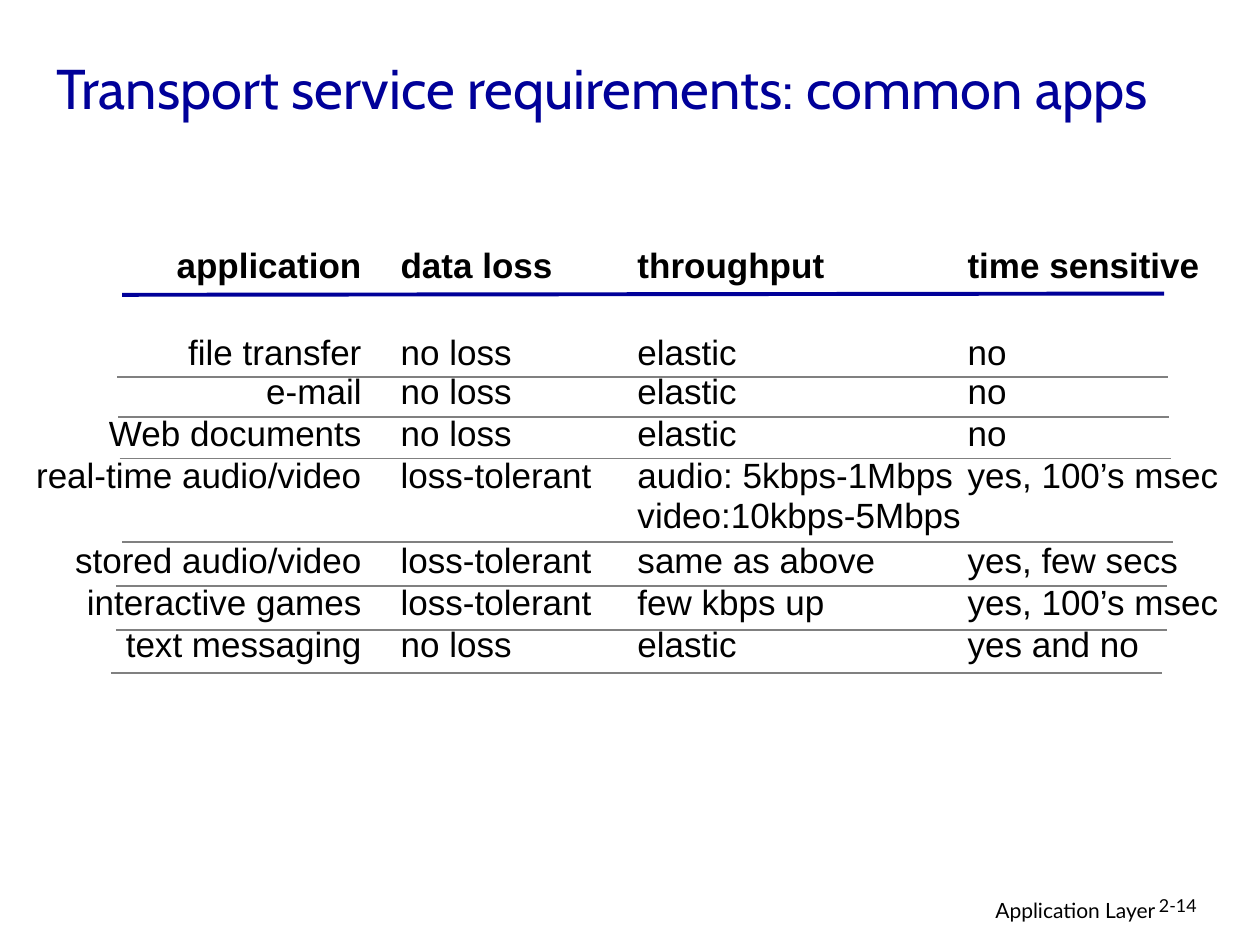
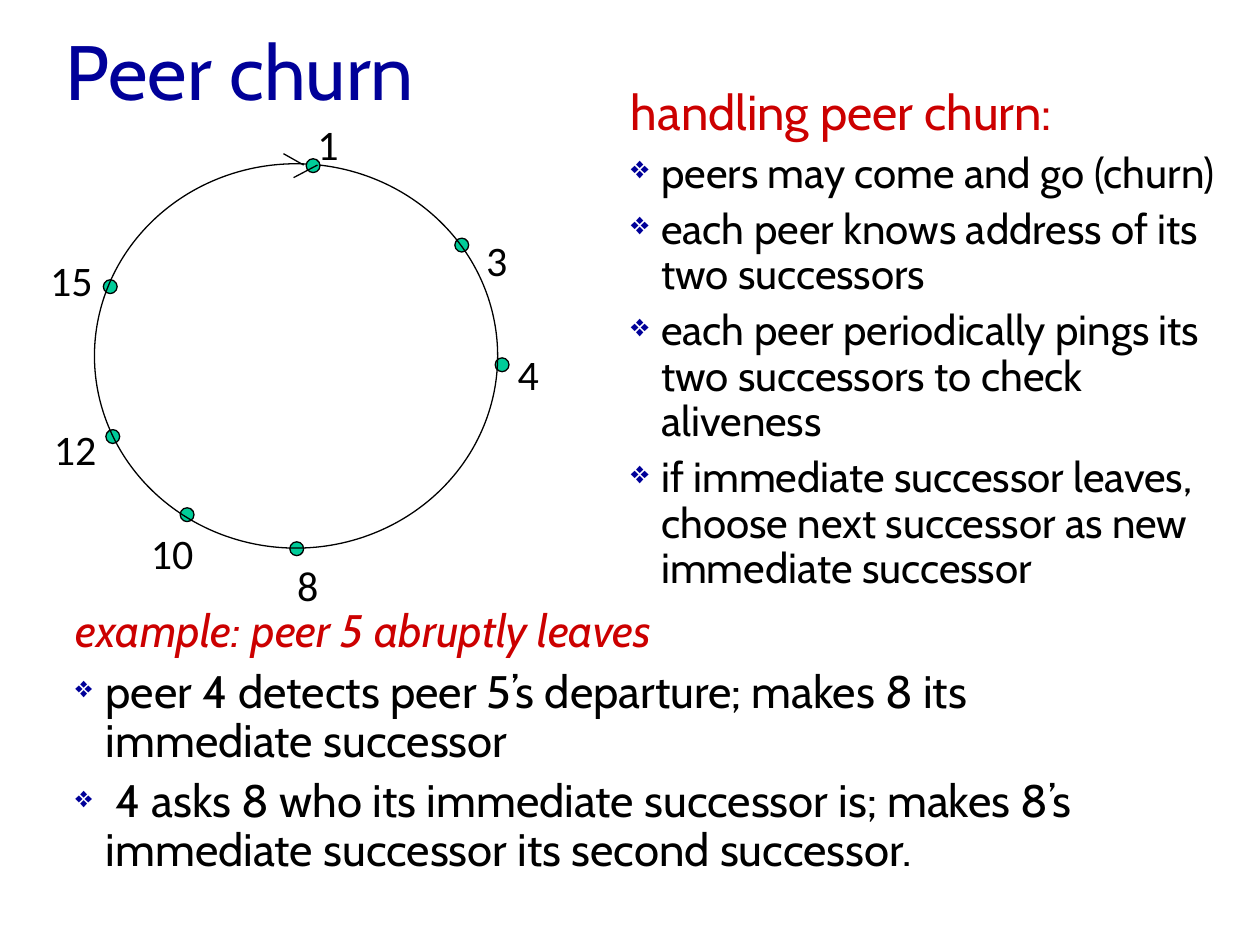
from dataclasses import dataclass

from lxml.etree import SubElement
from pptx import Presentation
from pptx.dml.color import RGBColor
from pptx.enum.shapes import MSO_CONNECTOR, MSO_SHAPE
from pptx.enum.text import MSO_ANCHOR, PP_ALIGN
from pptx.oxml.ns import qn
from pptx.util import Emu, Inches, Pt


@dataclass(frozen=True)
class Theme:
    navy: str = "000099"
    red: str = "CC0000"
    green: str = "00CC99"
    gray: str = "808080"
    black: str = "000000"
    heading_font: str = "Cabin"
    table_font: str = "Arial"
    label_font: str = "Calibri"
    footer_font: str = "Lato"
    long_title: float = 32
    short_title: float = 44
    heading: float = 28
    example: float = 26
    body: float = 24
    cell: float = 20
    footer: float = 12
    page: float = 10.2
    thin: float = 0.75
    row_rule: float = 1
    header_rule: float = 2.25


THEME = Theme()
COLUMNS, ROWS = 100, 75
WIDTH, HEIGHT = Inches(10), Inches(7.5)
HANG = 2.4

TABLE_TOP, LINE_HEIGHT = 19.6, 3.34
COLUMN_EDGES = [1.9, 31.6, 50.4, 76.6, 98.5]
REQUIREMENTS = [
    (1, "application", "data loss", "throughput", "time sensitive"),
    (2, "file transfer", "no loss", "elastic", "no"),
    (1, "e-mail", "no loss", "elastic", "no"),
    (1, "Web documents", "no loss", "elastic", "no"),
    (2, "real-time audio/video", "loss-tolerant",
     "audio: 5kbps-1Mbps\nvideo:10kbps-5Mbps", "yes, 100’s msec"),
    (1, "stored audio/video", "loss-tolerant", "same as above", "yes, few secs"),
    (1, "interactive games", "loss-tolerant", "few kbps up", "yes, 100’s msec"),
    (1, "text messaging", "no loss", "elastic", "yes and no"),
]
RULE_LENGTH = 83.4
ROW_RULES = [(9.3, 29.9), (9.4, 33.1), (9.5, 36.4), (9.7, 43),
             (9.2, 46.5), (9.2, 50), (8.8, 53.4)]

FIRST_PEER = ("1", (24.3, 12.6), (24.2, 8.9))
OTHER_PEERS = [
    ("3", (36.1, 18.9), (37.6, 18.1)),
    ("4", (39.3, 28.4), (40.1, 27.2)),
    ("8", (23, 43), (22.6, 43.9)),
    ("10", (14.3, 40.3), (11, 41.4)),
    ("12", (8.4, 34.1), (3.3, 33.1)),
    ("15", (8.2, 22.2), (3, 19.7)),
]
HANDLING = [
    "peers may come and go (churn)",
    "each peer knows address of its two successors",
    "each peer periodically pings its two successors to check aliveness",
    "if immediate successor leaves, choose next successor as new immediate successor",
]
EXAMPLE = [
    "peer 4 detects peer 5’s departure; makes 8 its immediate successor",
    " 4 asks 8 who its immediate successor is; makes 8’s immediate successor its second successor.",
]


def across(columns):
    return Emu(round(WIDTH * columns / COLUMNS))


def down(rows):
    return Emu(round(HEIGHT * rows / ROWS))


def place(left, top, width, height):
    return across(left), down(top), across(width), down(height)


def set_font(paragraph, face, size, color=THEME.black, bold=False, italic=False):
    font = paragraph.font
    font.name, font.size, font.bold, font.italic = face, Pt(size), bold, italic
    font.color.rgb = RGBColor.from_string(color)


def add_text(slide, box, text, face, size, color=THEME.black, italic=False,
             align=PP_ALIGN.LEFT, anchor=MSO_ANCHOR.TOP, wrap=True, spacing=None):
    frame = slide.shapes.add_textbox(*place(*box)).text_frame
    frame.word_wrap = wrap
    frame.vertical_anchor = anchor
    paragraph = frame.paragraphs[0]
    paragraph.text = text
    paragraph.alignment = align
    paragraph.line_spacing = spacing
    set_font(paragraph, face, size, color, italic=italic)
    return frame


def add_title(slide, box, text, size):
    add_text(slide, box, text, THEME.heading_font, size, THEME.navy,
             anchor=MSO_ANCHOR.MIDDLE)


def add_bullets(frame, items, size, spacing, before, bullet_percent):
    for item in items:
        paragraph = frame.add_paragraph()
        paragraph.text = item
        properties = paragraph._p.get_or_add_pPr()
        properties.set("marL", str(across(HANG)))
        properties.set("indent", str(-across(HANG)))
        bullet_color = SubElement(properties, qn("a:buClr"))
        SubElement(bullet_color, qn("a:srgbClr"), val=THEME.navy)
        SubElement(properties, qn("a:buSzPct"), val=str(bullet_percent * 1000))
        SubElement(properties, qn("a:buChar"), char="❖")
        paragraph.line_spacing = spacing
        paragraph.space_before = Pt(before)
        set_font(paragraph, THEME.heading_font, size)


def add_line(slide, start, end, color, weight):
    line = slide.shapes.add_connector(
        MSO_CONNECTOR.STRAIGHT, across(start[0]), down(start[1]),
        across(end[0]), down(end[1]))
    line.line.color.rgb = RGBColor.from_string(color)
    line.line.width = Pt(weight)
    SubElement(line._element.spPr, qn("a:effectLst"))


def add_circle(slide, box, fill=None):
    circle = slide.shapes.add_shape(MSO_SHAPE.OVAL, *place(*box))
    circle.shadow.inherit = False
    if fill:
        circle.fill.solid()
        circle.fill.fore_color.rgb = RGBColor.from_string(fill)
    else:
        circle.fill.background()
    circle.line.color.rgb = RGBColor.from_string(THEME.black)
    circle.line.width = Pt(THEME.thin)


def add_peer_dot(slide, peer):
    add_circle(slide, (*peer[1], 1.1, 1.1), THEME.green)


def add_peer_label(slide, peer):
    label, _, corner = peer
    add_text(slide, (*corner, 2 + 1.7 * len(label), 5), label,
             THEME.label_font, THEME.body, wrap=False)


def add_footer(slide, page):
    add_text(slide, (61, 70.7, 31.7, 3.1), "Application Layer",
             THEME.footer_font, THEME.footer, align=PP_ALIGN.RIGHT)
    add_text(slide, (91, 70.7, 7.4, 3), page, THEME.footer_font, THEME.page,
             spacing=0.9)


def fill_cell(cell, text, is_header, is_first_column, anchor):
    cell.fill.background()
    cell.vertical_anchor = anchor
    cell.margin_top = cell.margin_bottom = 0
    cell.margin_left = across(0 if is_first_column else 0.2)
    cell.margin_right = across(2.9 if is_first_column else 0)
    cell.text = text
    for paragraph in cell.text_frame.paragraphs:
        paragraph.alignment = PP_ALIGN.RIGHT if is_first_column else PP_ALIGN.LEFT
        set_font(paragraph, THEME.table_font, THEME.cell, bold=is_header)


def add_requirements_table(slide):
    total_lines = sum(row[0] for row in REQUIREMENTS)
    box = (COLUMN_EDGES[0], TABLE_TOP, COLUMN_EDGES[-1] - COLUMN_EDGES[0],
           total_lines * LINE_HEIGHT)
    table = slide.shapes.add_table(
        len(REQUIREMENTS), len(COLUMN_EDGES) - 1, *place(*box)).table
    table.first_row = table.horz_banding = False
    for column, left, right in zip(table.columns, COLUMN_EDGES, COLUMN_EDGES[1:]):
        column.width = across(right - left)
    for row_index, (lines, *texts) in enumerate(REQUIREMENTS):
        table.rows[row_index].height = down(lines * LINE_HEIGHT)
        anchor = MSO_ANCHOR.BOTTOM if row_index == 1 else MSO_ANCHOR.TOP
        for column_index, text in enumerate(texts):
            fill_cell(table.cell(row_index, column_index), text,
                      row_index == 0, column_index == 0, anchor)


def build_requirements(slide):
    add_footer(slide, "2-14")
    add_title(slide, (3.5, 2.5, 89.7, 8.9),
              "Transport service requirements: common apps", THEME.long_title)
    add_requirements_table(slide)
    add_line(slide, (9.7, 23.4), (92.4, 23.3), THEME.navy, THEME.header_rule)
    for left, top in ROW_RULES:
        add_line(slide, (left, top), (left + RULE_LENGTH, top),
                 THEME.gray, THEME.row_rule)


def build_peer_churn(slide):
    add_title(slide, (4.2, 0, 90, 11.1), "Peer churn", THEME.short_title)
    example = add_text(slide, (5, 47.8, 90, 23.3), "example: peer 5 abruptly leaves",
                       THEME.heading_font, THEME.example, THEME.red,
                       italic=True, spacing=0.9)
    add_bullets(example, EXAMPLE, THEME.example, 0.9, 6.5, 65)

    for peer in OTHER_PEERS:
        add_peer_dot(slide, peer)
    add_circle(slide, (7.5, 13, 32, 30.5))
    for peer in [FIRST_PEER, *OTHER_PEERS]:
        add_peer_label(slide, peer)
    add_peer_dot(slide, FIRST_PEER)
    add_line(slide, (22.5, 12.2), (24.1, 13.1), THEME.black, THEME.thin)
    add_line(slide, (25.2, 13.1), (23.3, 14.1), THEME.black, THEME.thin)

    handling = add_text(slide, (49.1, 6, 48.4, 57.2), "handling peer churn:",
                        THEME.heading_font, THEME.heading, THEME.red)
    add_bullets(handling, HANDLING, THEME.body, Pt(26), 6, 75)


def main():
    presentation = Presentation()
    presentation.slide_width, presentation.slide_height = WIDTH, HEIGHT
    blank = presentation.slide_layouts[6]
    for build in (build_requirements, build_peer_churn):
        build(presentation.slides.add_slide(blank))
    presentation.save("out.pptx")


if __name__ == "__main__":
    main()
